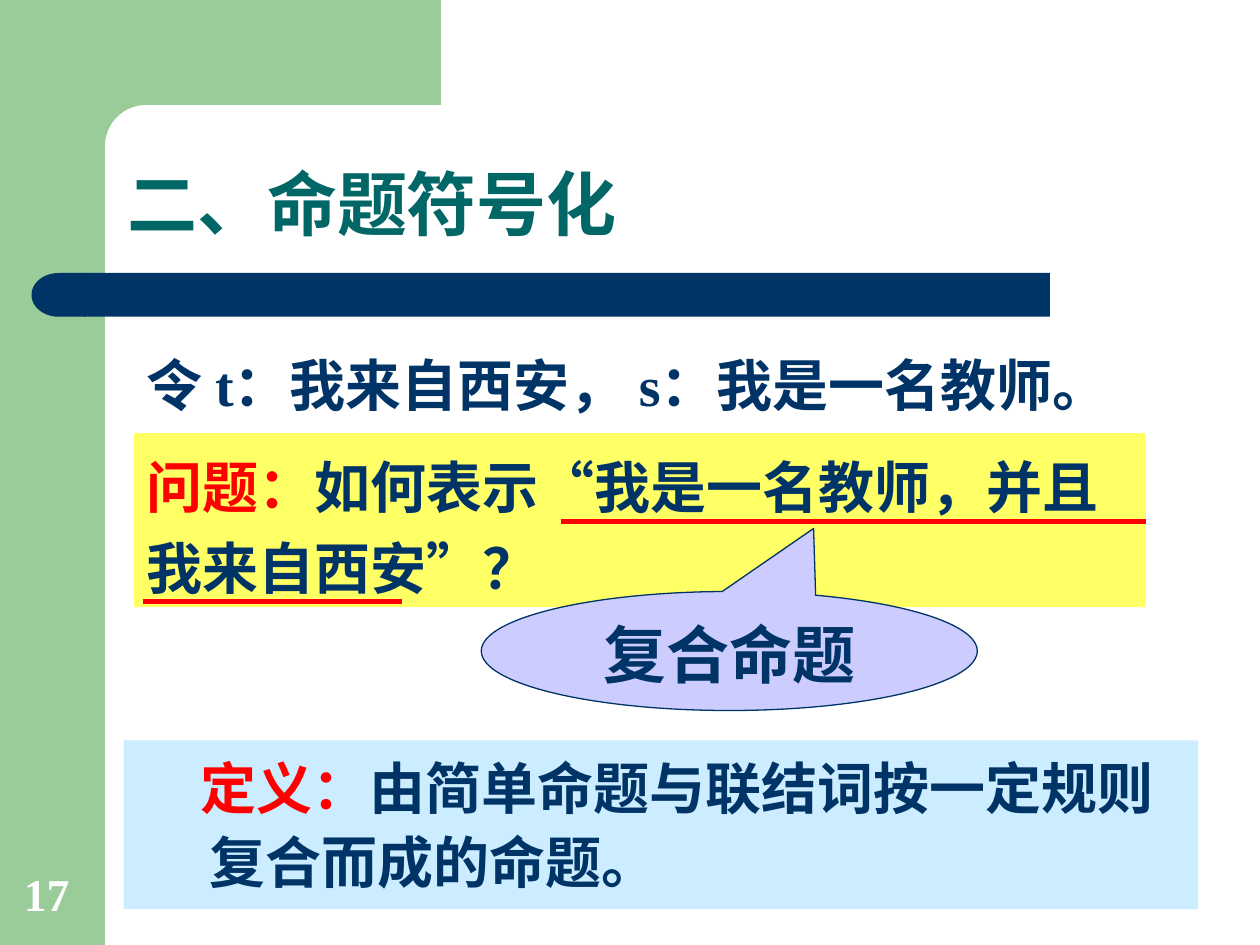
import math

import lxml.etree
import pptx
import pptx.dml.color
import pptx.enum.shapes
import pptx.enum.text
import pptx.oxml.ns
import pptx.util

Pt = pptx.util.Pt
SHAPES = pptx.enum.shapes.MSO_SHAPE
ALIGN = pptx.enum.text.PP_ALIGN
ANCHOR = pptx.enum.text.MSO_ANCHOR

GREEN, NAVY, TEAL, RED = "99CC99", "003366", "006666", "FF0000"
YELLOW, LILAC, SKY, WHITE = "FFFF66", "CCCCFF", "CCECFF", "FFFFFF"
SERIF = "Times New Roman"


def rgb(hex_value):
    return pptx.dml.color.RGBColor.from_string(hex_value)


def lengths(values):
    return [Pt(value) for value in values]


def add_child(parent, tag):
    return lxml.etree.SubElement(parent, pptx.oxml.ns.qn(tag))


def apply(target, values):
    for name, value in values.items():
        setattr(target, name, value)


def paint(shape, fill, outline=None):
    shape.shadow.inherit = False
    shape.fill.solid()
    shape.fill.fore_color.rgb = rgb(fill)
    if outline:
        shape.line.color.rgb = rgb(outline)
        shape.line.width = Pt(0.75)
    else:
        shape.line.fill.background()


def add_block(slide, kind, box, fill, outline=None):
    block = slide.shapes.add_shape(kind, *lengths(box))
    paint(block, fill, outline)
    return block


def write(shape, runs, size, font=SERIF, anchor=ANCHOR.TOP, bulletless=False, **layout):
    """Fill a shape with one bold paragraph of (text, colour) runs."""
    frame = shape.text_frame
    apply(frame, {
        "word_wrap": True,
        "auto_size": pptx.enum.text.MSO_AUTO_SIZE.NONE,
        "vertical_anchor": anchor,
        "margin_left": Pt(7.2), "margin_right": Pt(7.2),
        "margin_top": Pt(3.6), "margin_bottom": Pt(3.6),
    })
    paragraph = frame.paragraphs[0]
    apply(paragraph, {"alignment": ALIGN.LEFT, "space_before": Pt(0), **layout})
    if bulletless:
        properties = paragraph._p.get_or_add_pPr()
        properties.set("marL", str(Pt(42)))
        properties.set("indent", str(Pt(-5)))
        add_child(properties, "a:buNone")
    for text, color in runs:
        run = paragraph.add_run()
        run.text = text
        apply(run.font, {"name": font, "size": Pt(size), "bold": True})
        run.font.color.rgb = rgb(color)


def place(placeholder, box):
    apply(placeholder, dict(zip(("left", "top", "width", "height"), lengths(box))))


def add_underline(slide, left, right, y):
    line = slide.shapes.add_connector(
        pptx.enum.shapes.MSO_CONNECTOR.STRAIGHT, *lengths((left, y, right, y)))
    line.line.color.rgb = rgb(RED)
    line.line.width = Pt(3)
    add_child(line._element.spPr, "a:effectLst")


def add_corner_band(slide):
    """Top green band whose inner corner is rounded into the side column."""
    center, radius, steps = 83.5, 23.5, 16
    angles = [math.pi / 2 * step / steps for step in range(steps + 1)]
    curve = [(center - radius * math.sin(a), center - radius * math.cos(a)) for a in angles]
    outline = [(252, 0), (252, 60), *curve, (60, 92), (36, 92), (36, 0)]
    points = [lengths(point) for point in outline]
    builder = slide.shapes.build_freeform(*points[0])
    builder.add_line_segments(points[1:], close=True)
    paint(builder.convert_to_shape(), GREEN)


def add_decoration(slide):
    add_block(slide, SHAPES.RECTANGLE, (0, 0, 60, 540), GREEN)
    add_corner_band(slide)
    add_block(slide, SHAPES.RECTANGLE, (48, 156, 552, 25), NAVY)
    bar_cap = add_block(slide, SHAPES.FLOWCHART_DELAY, (18, 156, 31, 25), NAVY)
    bar_cap.rotation = 180


def add_question(slide):
    question = add_block(slide, SHAPES.RECTANGLE, (76.5, 247.5, 578.3, 99.4), YELLOW)
    write(question, [("问题：", RED), ("如何表示“我是一名教师，并且我来自西安”？", NAVY)],
          32, line_spacing=1.2)
    add_underline(slide, 320.3, 654.8, 298.2)
    add_underline(slide, 82, 229.5, 343.6)


def add_callout(slide):
    callout = add_block(slide, SHAPES.OVAL_CALLOUT, (275, 338, 283.5, 68), LILAC, NAVY)
    callout.adjustments[0] = 0.17
    callout.adjustments[1] = -1.03
    write(callout, [("复合命题", NAVY)], 36, font="Arial", alignment=ALIGN.CENTER)


def main():
    presentation = pptx.Presentation()
    apply(presentation, {"slide_width": Pt(720), "slide_height": Pt(540)})
    slide = presentation.slides.add_slide(presentation.slide_layouts[1])
    title, definition = slide.placeholders

    add_decoration(slide)
    place(title, (65.5, 65.5, 613, 78.5))
    write(title, [("二、命题符号化", TEAL)], 40, anchor=ANCHOR.BOTTOM, line_spacing=0.9)

    symbols = slide.shapes.add_textbox(*lengths((76.5, 185, 595.5, 57.5)))
    write(symbols, [("令 t：我来自西安， s：我是一名教师。", NAVY)], 32, line_spacing=1.3)

    add_question(slide)
    add_callout(slide)

    place(definition, (70.6, 423, 614, 96.5))
    paint(definition, SKY)
    write(definition, [("定义：", RED), ("由简单命题与联结词按一定规则复合而成的命题。", NAVY)],
          32, bulletless=True, line_spacing=1.1)

    page_number = slide.shapes.add_textbox(*lengths((6.5, 491.8, 46, 38)))
    write(page_number, [("17", WHITE)], 26, anchor=ANCHOR.BOTTOM)
    presentation.save("out.pptx")


if __name__ == "__main__":
    main()
